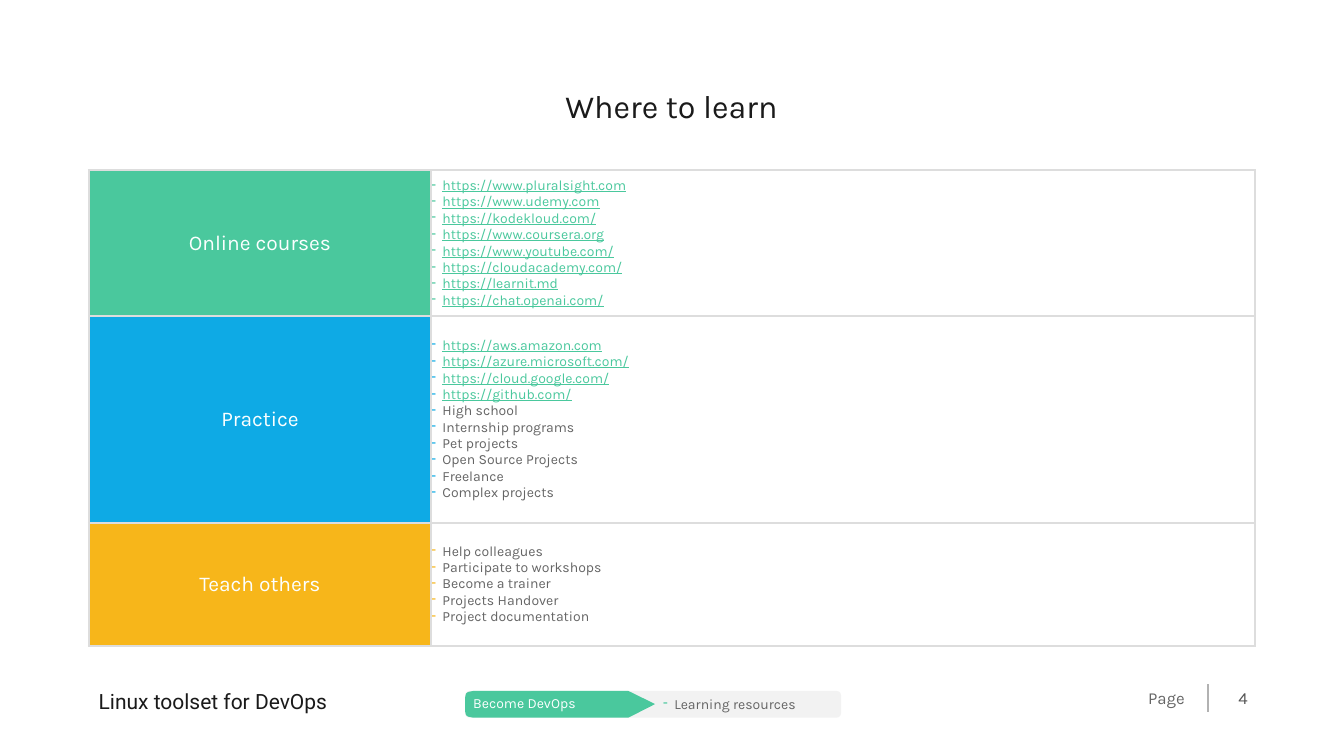
from dataclasses import dataclass

from lxml.etree import SubElement
from pptx import Presentation
from pptx.dml.color import RGBColor
from pptx.enum.shapes import MSO_CONNECTOR, MSO_SHAPE
from pptx.enum.text import MSO_ANCHOR, MSO_AUTO_SIZE, PP_ALIGN
from pptx.oxml.ns import qn
from pptx.util import Emu, Pt

SCALE = 9144  # EMU in one px, 100 px to the inch
INSET = 6
INDENT = 22

WHITE = RGBColor(0xFF, 0xFF, 0xFF)
PALE = RGBColor(0xFC, 0xFF, 0xFF)
LIGHT = RGBColor(0xF2, 0xF2, 0xF2)
BORDER = RGBColor(0xDD, 0xDD, 0xDD)
RULE = RGBColor(0xB2, 0xB2, 0xB2)
GRAY = RGBColor(0x65, 0x65, 0x65)
DARK = RGBColor(0x53, 0x53, 0x53)
BLACK = RGBColor(0x1A, 0x1A, 0x1A)
GREEN = RGBColor(0x4A, 0xC8, 0x9D)
BLUE = RGBColor(0x0E, 0xAA, 0xE5)
YELLOW = RGBColor(0xF7, 0xB6, 0x1A)


@dataclass
class Topic:
    name: str
    color: RGBColor
    height: int
    items: list[str]


@dataclass
class Label:
    text: str
    box: tuple[int, int, int, int]
    size: int
    color: RGBColor
    align: PP_ALIGN = PP_ALIGN.LEFT
    anchor: MSO_ANCHOR = MSO_ANCHOR.TOP
    font: str = "Karla"
    bullet: RGBColor | None = None


TOPICS = [
    Topic("Online courses", GREEN, 289, [
        "https://www.pluralsight.com",
        "https://www.udemy.com",
        "https://kodekloud.com/",
        "https://www.coursera.org",
        "https://www.youtube.com/",
        "https://cloudacademy.com/",
        "https://learnit.md",
        "https://chat.openai.com/",
    ]),
    Topic("Practice", BLUE, 410, [
        "https://aws.amazon.com",
        "https://azure.microsoft.com/",
        "https://cloud.google.com/",
        "https://github.com/",
        "High school",
        "Internship programs",
        "Pet projects",
        "Open Source Projects",
        "Freelance",
        "Complex projects",
    ]),
    Topic("Teach others", YELLOW, 244, [
        "Help colleagues",
        "Participate to workshops",
        "Become a trainer",
        "Projects Handover",
        "Project documentation",
    ]),
]

TITLE = Label("Where to learn", (864, 165, 937, 89), 46, BLACK, PP_ALIGN.CENTER)
FOOTER = [
    Label("Page", (1919, 1358, 438, 52), 24, GRAY, PP_ALIGN.RIGHT),
    Label("Linux toolset for DevOps", (147, 1360, 551, 62), 30, BLACK,
          PP_ALIGN.CENTER, font="Roboto"),
    Label("4", (2413, 1358, 107, 54), 24, DARK, PP_ALIGN.CENTER),
]
TRAIL = [
    Label("Learning resources", (1310, 1375, 418, 45), 20, GRAY,
          anchor=MSO_ANCHOR.MIDDLE, bullet=GREEN),
    Label("Become DevOps", (933, 1373, 303, 45), 20, PALE,
          anchor=MSO_ANCHOR.MIDDLE),
]


def px(count: int) -> Emu:
    return Emu(count * SCALE)


def place(box: tuple[int, ...]) -> list[Emu]:
    return [px(side) for side in box]


def add_dash(para, color: RGBColor) -> None:
    """Give the paragraph a coloured dash bullet with a hanging indent."""
    props = para._p.get_or_add_pPr()
    props.set("marL", str(px(INDENT)))
    props.set("indent", str(-px(INDENT)))
    tint = SubElement(props, qn("a:buClr"))
    SubElement(tint, qn("a:srgbClr"), val=str(color))
    SubElement(props, qn("a:buChar"), char="-")


def style(para, size: int, color: RGBColor, font: str = "Karla") -> None:
    for run in para.runs:
        run.font.size = Pt(size)
        run.font.name = font
        run.font.color.rgb = color


def write(shape, label: Label) -> None:
    shape.left, shape.top, shape.width, shape.height = place(label.box)
    frame = shape.text_frame
    frame.text = label.text
    frame.word_wrap = True
    frame.auto_size = MSO_AUTO_SIZE.NONE
    frame.vertical_anchor = label.anchor
    frame.margin_left = frame.margin_right = px(INSET)
    frame.margin_top = frame.margin_bottom = px(INSET)
    para = frame.paragraphs[0]
    para.alignment = label.align
    if label.bullet is not None:
        add_dash(para, label.bullet)
    style(para, label.size, label.color, label.font)


def add_label(slide, label: Label) -> None:
    write(slide.shapes.add_textbox(*place(label.box)), label)


def set_cell(cell, text: str, fill: RGBColor) -> None:
    cell.text = text
    cell.vertical_anchor = MSO_ANCHOR.MIDDLE
    cell.margin_left = cell.margin_right = 0
    cell.margin_top = cell.margin_bottom = 0
    props = cell._tc.get_or_add_tcPr()
    for side in ("lnL", "lnR", "lnT", "lnB"):
        line = SubElement(props, qn(f"a:{side}"), w=str(Pt(3)))
        paint = SubElement(line, qn("a:solidFill"))
        SubElement(paint, qn("a:srgbClr"), val=str(BORDER))
    cell.fill.solid()
    cell.fill.fore_color.rgb = fill


def add_topics(slide) -> None:
    total = sum(topic.height for topic in TOPICS)
    frame = slide.shapes.add_table(len(TOPICS), 2, *place((176, 338, 2315, total)))
    table = frame.table
    table.first_row = table.horz_banding = False
    for column, width in zip(table.columns, (680, 1635)):
        column.width = px(width)
    for row, topic in zip(table.rows, TOPICS):
        row.height = px(topic.height)
        head, body = row.cells
        set_cell(head, topic.name, topic.color)
        para = head.text_frame.paragraphs[0]
        para.alignment = PP_ALIGN.CENTER
        style(para, 30, PALE)
        set_cell(body, "\n".join(topic.items), WHITE)
        for para in body.text_frame.paragraphs:
            link = para.text.startswith("https")
            add_dash(para, topic.color)
            style(para, 20, GREEN if link else GRAY)
            para.runs[0].font.underline = link


def paint(shape, color: RGBColor) -> None:
    shape.shadow.inherit = False
    shape.fill.solid()
    shape.fill.fore_color.rgb = color
    shape.line.fill.background()


def add_trail(slide) -> None:
    """Draw the bar and the arrow tab with rounded left corners."""
    left, top, width, height = 923, 1371, 746, 53
    bar = slide.shapes.add_shape(MSO_SHAPE.ROUNDED_RECTANGLE,
                                 *place((left, top, width, height)))
    bar.adjustments[0] = 0.165
    paint(bar, LIGHT)
    add_label(slide, TRAIL[0])

    upper = [(324, 0), (27, 0), (16, 0), (11, 1), (6, 2), (2, 5), (1, 8), (0, 13)]
    lower = [(x, height - y) for x, y in reversed(upper)]
    points = [(left + x, top + y) for x, y in upper + lower + [(377, 26)]]
    build = slide.shapes.build_freeform(*points[0], scale=SCALE)
    build.add_line_segments(points[1:], close=True)
    paint(build.convert_to_shape(), GREEN)
    add_label(slide, TRAIL[1])


def add_rule(slide) -> None:
    rule = slide.shapes.add_connector(MSO_CONNECTOR.STRAIGHT,
                                      *place((2397, 1358, 2397, 1412)))
    rule.line.color.rgb = RULE
    rule.line.width = Pt(2)
    SubElement(rule._element.spPr, qn("a:effectLst"))


def main() -> None:
    deck = Presentation()
    deck.slide_width, deck.slide_height = px(2667), px(1500)
    slide = deck.slides.add_slide(deck.slide_layouts[5])
    add_rule(slide)
    for label in FOOTER:
        add_label(slide, label)
    add_topics(slide)
    write(slide.shapes.title, TITLE)
    add_trail(slide)
    deck.save("out.pptx")


if __name__ == "__main__":
    main()
